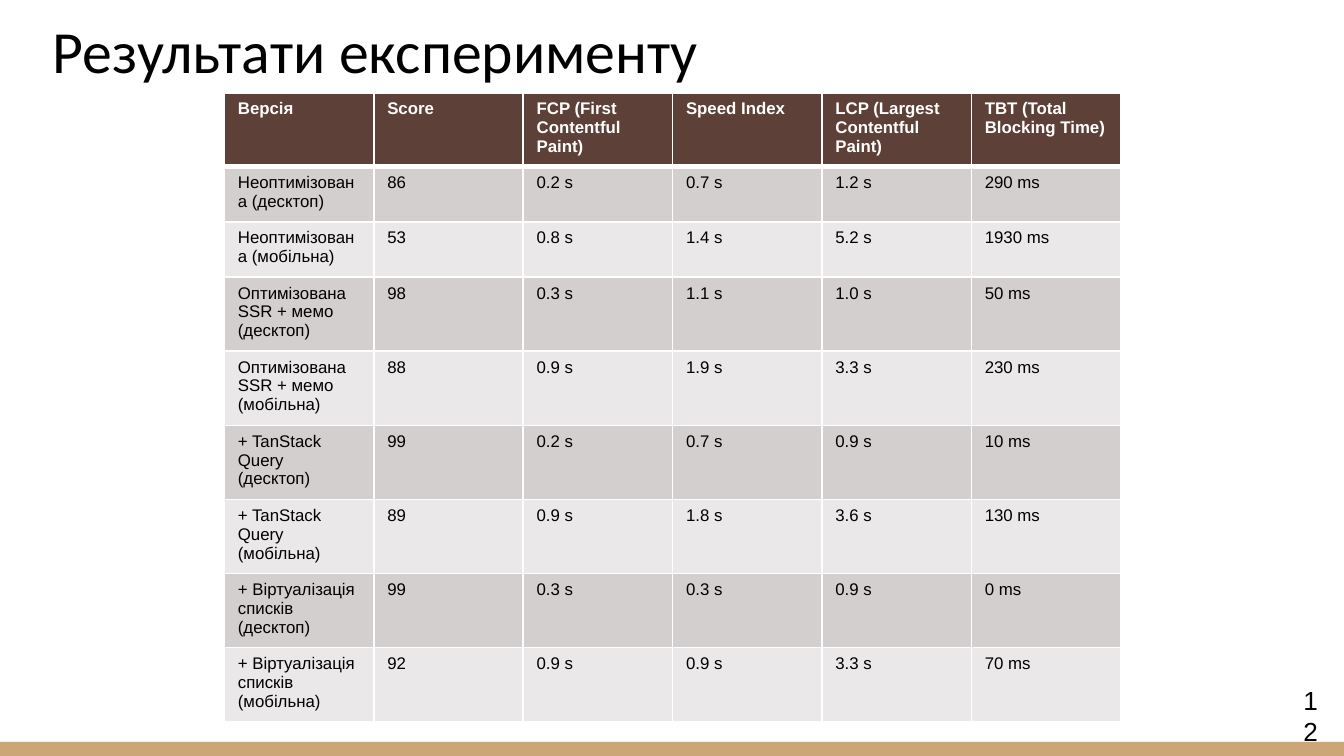
from lxml import etree
from pptx import Presentation
from pptx.dml.color import RGBColor
from pptx.enum import shapes, text
from pptx.oxml import ns
from pptx.util import Inches, Pt

TITLE = "Результати експерименту"
PAGE = "12"
HEAD = ["Версія", "Score", "FCP (First Contentful Paint)", "Speed Index",
        "LCP (Largest Contentful Paint)", "TBT (Total Blocking Time)"]
ROWS = [
    ["Неоптимізована (десктоп)", "86", "0.2 s", "0.7 s", "1.2 s", "290 ms"],
    ["Неоптимізована (мобільна)", "53", "0.8 s", "1.4 s", "5.2 s", "1930 ms"],
    ["Оптимізована SSR + мемо (десктоп)", "98", "0.3 s", "1.1 s", "1.0 s", "50 ms"],
    ["Оптимізована SSR + мемо (мобільна)", "88", "0.9 s", "1.9 s", "3.3 s", "230 ms"],
    ["+ TanStack Query (десктоп)", "99", "0.2 s", "0.7 s", "0.9 s", "10 ms"],
    ["+ TanStack Query (мобільна)", "89", "0.9 s", "1.8 s", "3.6 s", "130 ms"],
    ["+ Віртуалізація списків (десктоп)", "99", "0.3 s", "0.3 s", "0.9 s", "0 ms"],
    ["+ Віртуалізація списків (мобільна)", "92", "0.9 s", "0.9 s", "3.3 s", "70 ms"],
]
WIDE, TALL, HIGH = 6.67, 4.66, 0.41
EDGES = {"lnL": 1, "lnR": 1, "lnT": 1, "lnB": 3}

BLACK = RGBColor(0x00, 0x00, 0x00)
WHITE = RGBColor(0xFF, 0xFF, 0xFF)
BROWN = RGBColor(0x5D, 0x40, 0x37)
SAND = RGBColor(0xCC, 0xA6, 0x77)
DARK = RGBColor(0xD2, 0xCF, 0xCE)
LIGHT = RGBColor(0xEA, 0xE8, 0xE8)


def write(frame, words, size, font="Arial", color=BLACK, bold=False):
    frame.text = words
    para = frame.paragraphs[0]
    para.alignment = text.PP_ALIGN.LEFT
    face = para.runs[0].font
    face.name, face.size, face.bold = font, Pt(size), bold
    face.color.rgb = color


def box(*sides):
    return [Inches(side) for side in sides]


def edge(cell):
    """Rule the cell in white; the lines must come before its fill."""
    props = cell._tc.get_or_add_tcPr()
    for spot, (tag, width) in enumerate(EDGES.items()):
        line = etree.Element(ns.qn("a:" + tag), w=str(Pt(width)))
        fill = etree.SubElement(line, ns.qn("a:solidFill"))
        etree.SubElement(fill, ns.qn("a:srgbClr"), val=str(WHITE))
        props.insert(spot, line)


deck = Presentation()
deck.slide_width = Inches(10)
deck.slide_height = deck.slide_width * 9 // 16
slide = deck.slides.add_slide(deck.slide_layouts[5])

bar = slide.shapes.add_shape(shapes.MSO_SHAPE.RECTANGLE, *box(0, 5.52, 10, 0.11))
bar.shadow.inherit = False
bar.fill.solid()
bar.fill.fore_color.rgb = SAND
bar.line.fill.background()

title = slide.shapes.title
title.left, title.top, title.width, title.height = box(0.29, -0.17, 9.32, 0.91)
frame = title.text_frame
write(frame, TITLE, 32, "Calibri")
frame.vertical_anchor = text.MSO_ANCHOR.BOTTOM
frame.margin_left = frame.margin_right = Inches(0.1)
frame.margin_top = frame.margin_bottom = Inches(0.1)

# The narrow box stacks the digits of the page number
page = slide.shapes.add_textbox(*box(9.6, 5.04, 0.31, 0.34)).text_frame
page.word_wrap = True
write(page, PAGE, 14)

holder = slide.shapes.add_table(len(ROWS) + 1, len(HEAD),
                                *box(1.67, 0.69, WIDE, TALL))
grid = holder.table
for col in grid.columns:
    col.width = Inches(WIDE / len(HEAD))
for r, row in enumerate([HEAD] + ROWS):
    grid.rows[r].height = Inches(HIGH)
    top = r == 0
    fill = BROWN if top else (LIGHT, DARK)[r % 2]
    for c, words in enumerate(row):
        cell = grid.cell(r, c)
        cell.fill.solid()
        cell.fill.fore_color.rgb = fill
        write(cell.text_frame, words, 9, color=WHITE if top else BLACK, bold=top)
        if top:
            edge(cell)
# Rows grow with their text, so the frame is taller than their sum
holder.height = Inches(TALL)

deck.save("out.pptx")
